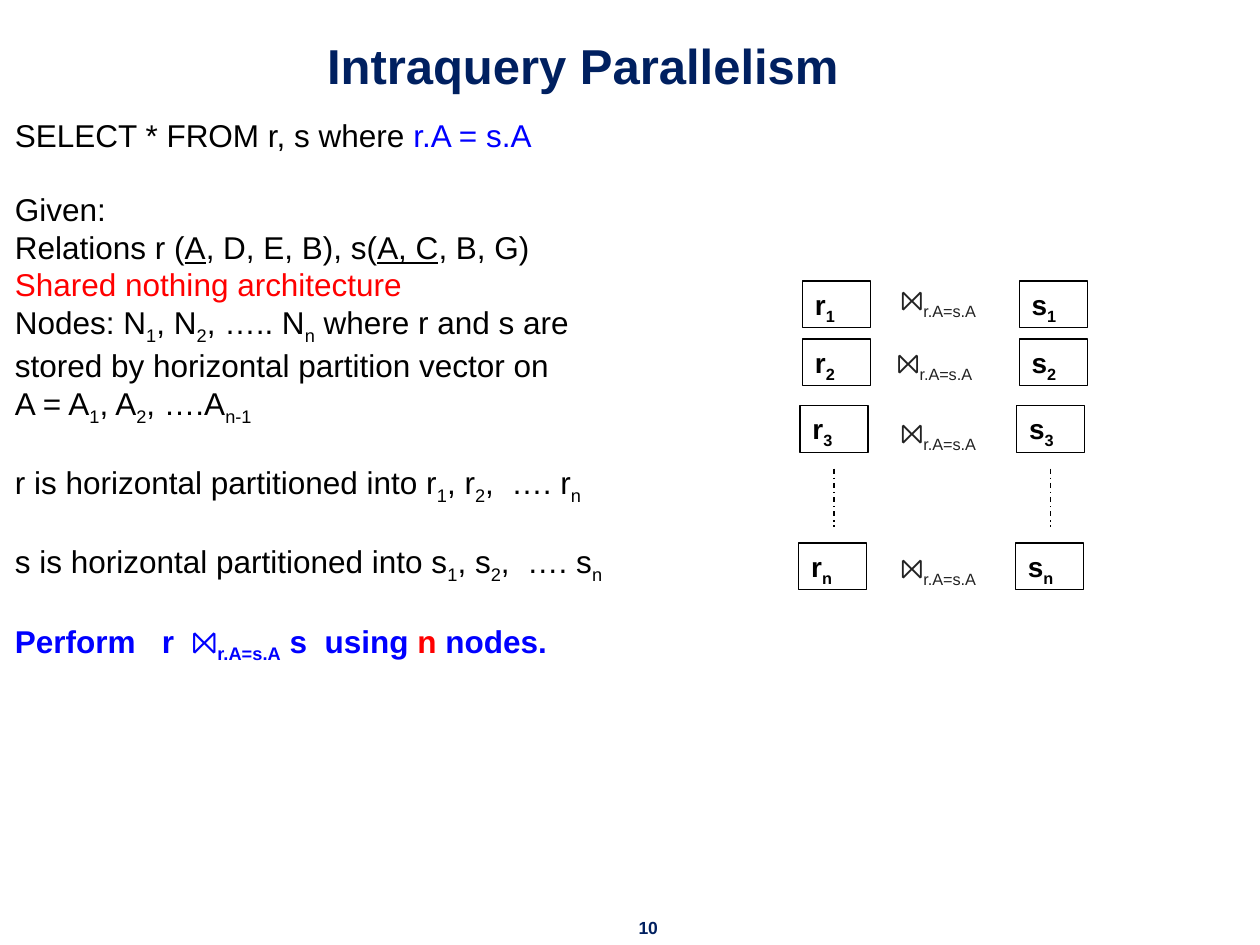
from lxml import etree
from pptx import Presentation
from pptx.dml.color import RGBColor
from pptx.enum.dml import MSO_LINE
from pptx.enum.shapes import MSO_CONNECTOR, MSO_SHAPE
from pptx.enum.text import MSO_ANCHOR, MSO_AUTO_SIZE, PP_ALIGN
from pptx.oxml.ns import qn
from pptx.util import Inches, Pt

DASH_DOT = MSO_LINE.DASH_DOT
STRAIGHT = MSO_CONNECTOR.STRAIGHT
RECT = MSO_SHAPE.RECTANGLE
TOP, BOTTOM = MSO_ANCHOR.TOP, MSO_ANCHOR.BOTTOM
NO_FIT = MSO_AUTO_SIZE.NONE
LEFT, CENTER = PP_ALIGN.LEFT, PP_ALIGN.CENTER

NAVY = RGBColor(0x00, 0x20, 0x60)
BLACK = RGBColor(0x00, 0x00, 0x00)
WHITE = RGBColor(0xFF, 0xFF, 0xFF)
BLUE = RGBColor(0x00, 0x00, 0xFF)
RED = RGBColor(0xFF, 0x00, 0x00)
GRAY = RGBColor(0x22, 0x22, 0x22)

FONT = "Arial"
JOIN = "\u2a1d"
CONDITION = "r.A=s.A"
BLANK_LINE = 20.7

# Each paragraph: space before in points, bold, runs of (text, colour, style).
BODY = [
    (0, False, [("SELECT * FROM r, s where ", BLACK, ""), ("r.A = s.A", BLUE, "")]),
    (BLANK_LINE, False, [("Given:", BLACK, "")]),
    (0, False, [("Relations r (", BLACK, ""), ("A", BLACK, "under"),
                (", D, E, B), s(", BLACK, ""), ("A, C", BLACK, "under"),
                (", B, G)", BLACK, "")]),
    (0, False, [("Shared nothing architecture", RED, "")]),
    (0, False, [("Nodes: N", BLACK, ""), ("1", BLACK, "sub"), (", N", BLACK, ""),
                ("2", BLACK, "sub"), (", \u2026.. N", BLACK, ""), ("n", BLACK, "sub"),
                (" where r and s are stored by horizontal partition vector on ", BLACK, "")]),
    (0, False, [("A = A", BLACK, ""), ("1", BLACK, "sub"), (", A", BLACK, ""),
                ("2", BLACK, "sub"), (", \u2026.A", BLACK, ""), ("n-1", BLACK, "sub")]),
    *[(BLANK_LINE, False, [(f"{name} is horizontal partitioned into {name}", BLACK, ""),
                           ("1", BLACK, "sub"), (f", {name}", BLACK, ""),
                           ("2", BLACK, "sub"), (f",  \u2026. {name}", BLACK, ""),
                           ("n", BLACK, "sub")]) for name in "rs"],
    (BLANK_LINE, True, [(f"Perform \u00a0 r \u00a0{JOIN}", BLUE, ""),
                        (CONDITION, BLUE, "sub"), (" s  using ", BLUE, ""),
                        ("n", RED, ""), (" nodes.", BLUE, "")]),
]

# Each row: subscript, box left offset, box top, join left, join top.
ROWS = [
    ("1", 0.03, 2.23, 7.05, 2.19),
    ("2", 0.03, 2.69, 7.02, 2.69),
    ("3", 0.01, 3.22, 7.05, 3.25),
    ("n", 0, 4.31, 7.05, 4.32),
]
COLUMNS = {"r": 6.34, "s": 8.06}


def add_run(p, text, size, color, bold=False, style=""):
    """Append a formatted run; style is "", "sub" or "under"."""
    r = p.add_run()
    r.text = text
    r.font.name = FONT
    r.font.size = Pt(size)
    r.font.bold = bold
    r.font.color.rgb = color
    if style == "under":
        r.font.underline = True
    elif style == "sub":
        r.font._element.set("baseline", "-25000")


def add_text_box(shapes, left, top, width, height):
    """Add a wrapping text box and return its text frame."""
    tf = shapes.add_textbox(Inches(left), Inches(top),
                            Inches(width), Inches(height)).text_frame
    tf.word_wrap = True
    return tf


def add_title(s, text):
    """Place and format the title placeholder."""
    sp = s.shapes.title
    sp.left, sp.top = Inches(0), Inches(0.13)
    sp.width, sp.height = Inches(9.25), Inches(0.67)
    tf = sp.text_frame
    tf.auto_size = NO_FIT
    tf.vertical_anchor = BOTTOM
    p = tf.paragraphs[0]
    p.alignment = CENTER
    add_run(p, text, 28, NAVY, True)


def add_body(s):
    """Add the query, the given facts and the task."""
    tf = add_text_box(s.shapes, 0.02, 0.87, 4.91, 4.61)
    for i, (before, bold, runs) in enumerate(BODY):
        p = tf.add_paragraph() if i else tf.paragraphs[0]
        p.space_before = Pt(before)
        for text, color, style in runs:
            add_run(p, text, 18, color, bold, style)


def add_partition(shapes, name, index, left, top):
    """Add a box that names one partition of a relation."""
    sp = shapes.add_shape(RECT, Inches(left), Inches(top), Inches(0.54), Inches(0.37))
    sp.shadow.inherit = False
    sp.fill.solid()
    sp.fill.fore_color.rgb = WHITE
    sp.line.color.rgb = BLACK
    sp.line.width = Pt(0.75)
    tf = sp.text_frame
    tf.vertical_anchor = TOP
    p = tf.paragraphs[0]
    p.alignment = LEFT
    add_run(p, name, 16, BLACK, True)
    add_run(p, index, 16, BLACK, True, "sub")


def add_join(shapes, left, top):
    """Add a join sign with its condition."""
    p = add_text_box(shapes, left, top, 0.95, 0.37).paragraphs[0]
    add_run(p, JOIN, 16, GRAY)
    add_run(p, CONDITION, 16, GRAY, style="sub")


def add_ellipsis_line(shapes, x):
    """Add a vertical dash-dot line for the partitions left out."""
    line = shapes.add_connector(STRAIGHT, Inches(x), Inches(3.72), Inches(x), Inches(4.18))
    line.line.color.rgb = BLACK
    line.line.width = Pt(0.75)
    line.line.dash_style = DASH_DOT
    etree.SubElement(line._element.spPr, qn("a:effectLst"))


def add_join_diagram(s):
    """Add the pairs of partitions that are joined node by node."""
    shapes = s.shapes.add_group_shape().shapes
    for name, left in COLUMNS.items():
        for index, offset, top, _, _ in ROWS:
            add_partition(shapes, name, index, left + offset, top)
        add_ellipsis_line(shapes, left + 0.28)
    for _, _, _, left, top in ROWS:
        add_join(shapes, left, top)


def add_page_number(s, number):
    """Add the page number at the foot."""
    p = add_text_box(s.shapes, 4.96, 7.23, 0.37, 0.27).paragraphs[0]
    p.alignment = CENTER
    add_run(p, number, 10, NAVY, True)


def main():
    """Build the slide and save it."""
    prs = Presentation()
    prs.slide_width, prs.slide_height = Inches(10), Inches(7.5)
    s = prs.slides.add_slide(prs.slide_layouts[5])
    add_title(s, "Intraquery Parallelism")
    add_body(s)
    add_join_diagram(s)
    add_page_number(s, "10")
    prs.save("out.pptx")


main()
